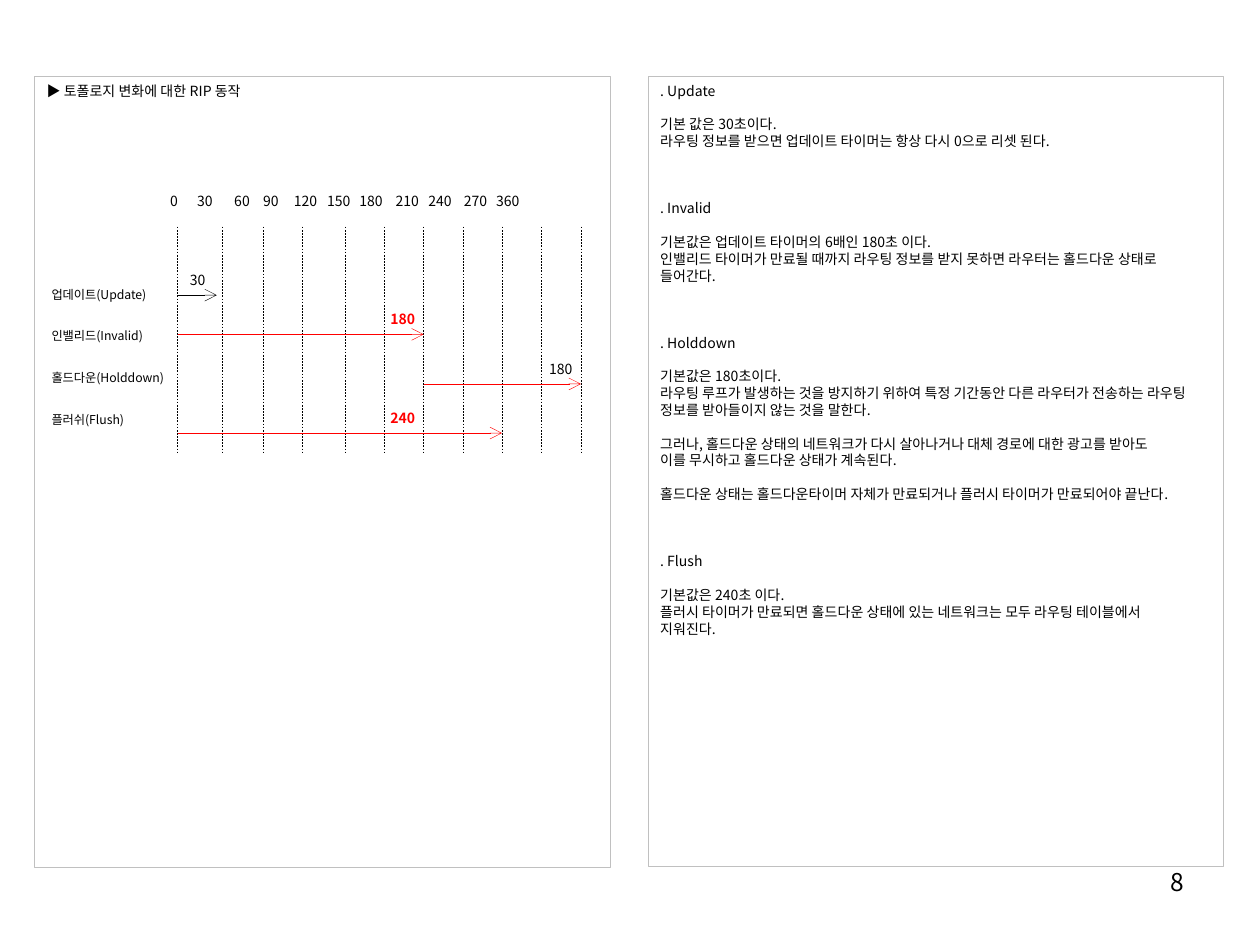
"""Build a slide on RIP timers: a timeline on the left, explanations on the right."""
import pptx
import pptx.dml.color
import pptx.enum.dml
import pptx.enum.shapes
import pptx.enum.text
import pptx.oxml
import pptx.oxml.ns
import pptx.util
from lxml import etree

Cm, Pt = pptx.util.Cm, pptx.util.Pt
RGB = pptx.dml.color.RGBColor.from_string
ALIGN = pptx.enum.text.PP_ALIGN
qn = pptx.oxml.ns.qn
FONT = "Noto Sans CJK KR"
COLORS = {"text": "000000", "accent": "FF0000", "frame": "C0C0C0"}


def add_text(sp, paragraphs, size=8, color="text", bold=False, align=ALIGN.LEFT, wrap=True):
    tf = sp.text_frame
    tf.word_wrap = wrap
    tf.vertical_anchor = pptx.enum.text.MSO_ANCHOR.TOP
    if not wrap:
        tf.auto_size = pptx.enum.text.MSO_AUTO_SIZE.SHAPE_TO_FIT_TEXT
    for i, (text, before) in enumerate(paragraphs):
        p = tf.add_paragraph() if i else tf.paragraphs[0]
        p.alignment = align
        p.line_spacing = Pt(size * 1.2)
        p.space_before = Pt(before)
        r = p.add_run()
        r.text = text
        r.font.size = Pt(size)
        r.font.bold = bold
        r.font.name = FONT
        r.font.color.rgb = RGB(COLORS[color])
        etree.SubElement(r.font._element, qn("a:ea"), typeface=FONT)
    return tf


def add_line(s, x1, y1, x2, y2, color="text", dashed=False, arrow=False):
    line = s.shapes.add_connector(
        pptx.enum.shapes.MSO_CONNECTOR.STRAIGHT, Cm(x1), Cm(y1), Cm(x2), Cm(y2))
    line.line.width = Pt(0.25)
    line.line.color.rgb = RGB(COLORS[color])
    if dashed:
        line.line.dash_style = pptx.enum.dml.MSO_LINE.DASH
    if arrow:
        etree.SubElement(line.line._get_or_add_ln(), qn("a:tailEnd"), type="arrow")
    etree.SubElement(line._element.spPr, qn("a:effectLst"))


prs = pptx.Presentation()
prs.slide_width, prs.slide_height = Cm(25.4), Cm(19.05)
s = prs.slides.add_slide(prs.slide_layouts[6])

LINE, BREAK = 9.6, 28.8
heading = [("▶ 토폴로지 변화에 대한 RIP 동작", 0)]
explanations = [
    (". Update", 0),
    ("기본 값은 30초이다.", LINE),
    ("라우팅 정보를 받으면 업데이트 타이머는 항상 다시 0으로 리셋 된다.", 0),
    (". Invalid", BREAK),
    ("기본값은 업데이트 타이머의 6배인 180초 이다.", LINE),
    ("인밸리드 타이머가 만료될 때까지 라우팅 정보를 받지 못하면 라우터는 홀드다운 상태로 들어간다.", 0),
    (". Holddown", BREAK),
    ("기본값은 180초이다.", LINE),
    ("라우팅 루프가 발생하는 것을 방지하기 위하여 특정 기간동안 다른 라우터가 전송하는 라우팅 "
     "정보를 받아들이지 않는 것을 말한다.", 0),
    ("그러나, 홀드다운 상태의 네트워크가 다시 살아나거나 대체 경로에 대한 광고를 받아도", LINE),
    ("이를 무시하고 홀드다운 상태가 계속된다.", 0),
    ("홀드다운 상태는 홀드다운타이머 자체가 만료되거나 플러시 타이머가 만료되어야 끝난다.", LINE),
    (". Flush", BREAK),
    ("기본값은 240초 이다.", LINE),
    ("플러시 타이머가 만료되면 홀드다운 상태에 있는 네트워크는 모두 라우팅 테이블에서", 0),
    ("지워진다.", 0),
]
for left, height, paragraphs in [(0.69, 15.95, heading), (13.06, 15.93, explanations)]:
    sp = s.shapes.add_shape(
        pptx.enum.shapes.MSO_SHAPE.RECTANGLE, Cm(left), Cm(1.53), Cm(11.61), Cm(height))
    sp.shadow.inherit = False
    sp.fill.background()
    sp.line.color.rgb = RGB(COLORS["frame"])
    sp.line.width = Pt(0.25)
    add_text(sp, paragraphs)

sp = s.shapes.add_textbox(Cm(18.21), Cm(17.35), Cm(5.92), Cm(1.32))
add_text(sp, [("8", 0)], size=14, align=ALIGN.RIGHT)

grid = [3.58, 4.47, 5.31, 6.1, 6.95, 7.75, 8.54, 9.33, 10.12, 10.92, 11.71]
for x in grid:
    add_line(s, x, 4.57, x, 9.12, dashed=True)

ticks = {0: 0.13, 30: 0.75, 60: 1.5, 90: 2.08, 120: 2.78, 150: 3.45,
         180: 4.1, 210: 4.83, 240: 5.49, 270: 6.21, 360: 6.86}
sp = s.shapes.add_textbox(Cm(3.38), Cm(3.76), Cm(8.74), Cm(0.61))
tf = add_text(sp, [("".join(f"\t{tick}" for tick in ticks), 0)])
tf.margin_left, tf.margin_right = 0, Cm(0.1)
tabs = etree.SubElement(tf.paragraphs[0]._p.get_or_add_pPr(), qn("a:tabLst"))
for offset in ticks.values():
    etree.SubElement(tabs, qn("a:tab"), pos=str(int(Cm(offset))), algn="ctr")

names = ["업데이트(Update)", "인밸리드(Invalid)", "홀드다운(Holddown)", "플러쉬(Flush)"]
sp = s.shapes.add_textbox(Cm(0.79), Cm(5.66), Cm(2.77), Cm(3.25))
add_text(sp, [(name, 15.4 if i else 0) for i, name in enumerate(names)], size=7)

timers = [
    ("30", 3.58, 4.37, 5.95, 3.58, "text", "text"),
    ("180", grid[0], grid[6], 6.74, 7.62, "accent", "accent"),
    ("180", grid[6], grid[10], 7.74, 10.82, "accent", "text"),
    ("240", grid[0], grid[8], 8.73, 7.62, "accent", "accent"),
]
for value, start, end, y, left, line_color, text_color in timers:
    add_line(s, start, y, end, y, color=line_color, arrow=True)
    sp = s.shapes.add_textbox(Cm(left), Cm(y - 0.6), Cm(0.84 if value == "30" else 1.02), Cm(0.61))
    add_text(sp, [(value, 0)], color=text_color, bold=text_color == "accent", wrap=False)

prs.save("out.pptx")
